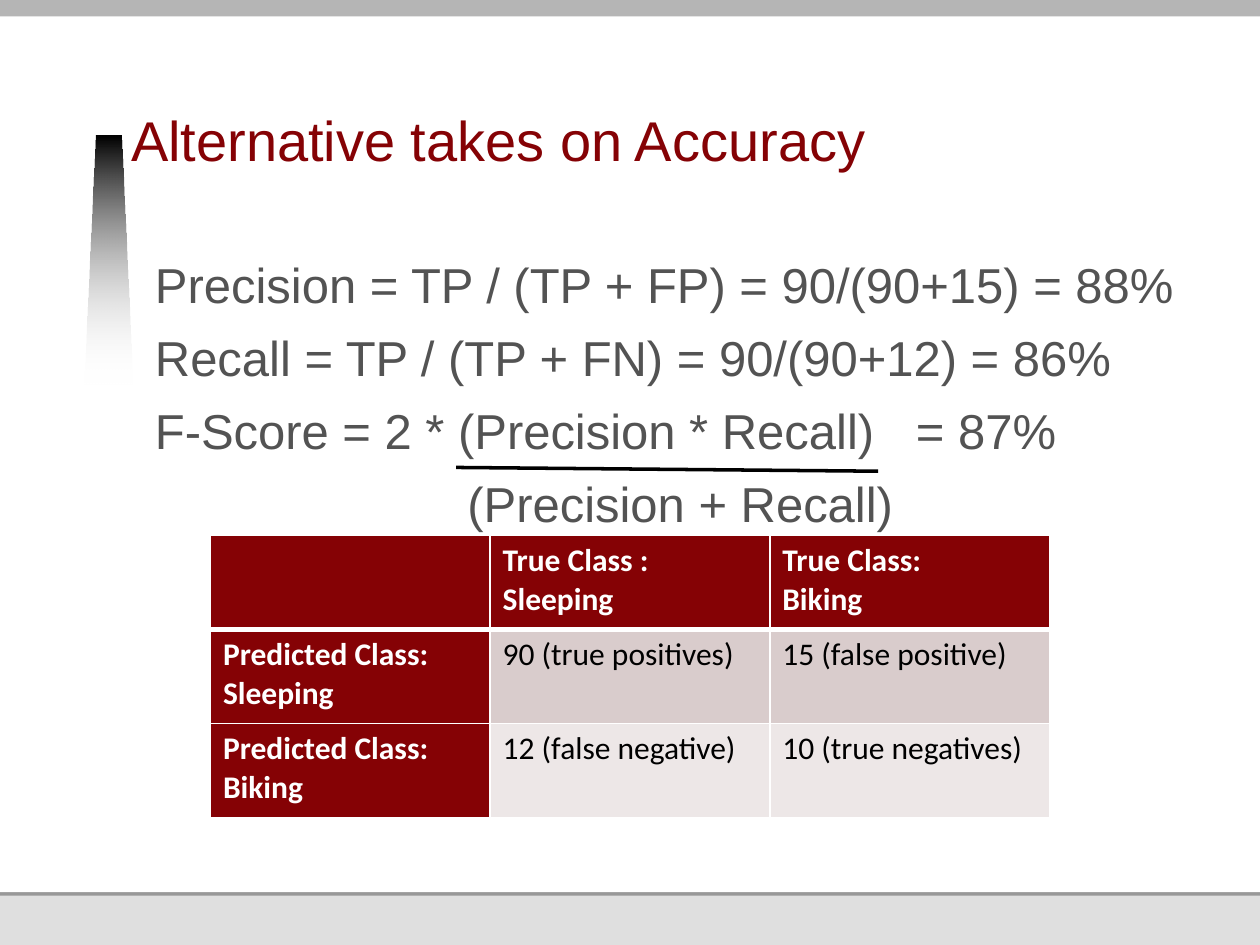
import pptx
import pptx.dml.color
import pptx.enum.shapes
import pptx.enum.text
import pptx.oxml
import pptx.oxml.ns
import pptx.util
from pptx.util import Inches

RGBColor = pptx.dml.color.RGBColor
MAROON = RGBColor(0x85, 0x02, 0x05)
BODY_GRAY = RGBColor(0x53, 0x53, 0x53)
TOP_GRAY = RGBColor(0xB5, 0xB5, 0xB5)
RULE_GRAY = RGBColor(0x98, 0x98, 0x98)
FOOTER_GRAY = RGBColor(0xDF, 0xDF, 0xDF)
BAND_DARK = RGBColor(0xD9, 0xCC, 0xCC)
BAND_LIGHT = RGBColor(0xED, 0xE7, 0xE7)
BLACK = RGBColor(0, 0, 0)
WHITE = RGBColor(0xFF, 0xFF, 0xFF)

FORMULAS = [
    "Precision = TP / (TP + FP) = 90/(90+15) = 88%",
    "Recall = TP / (TP + FN) = 90/(90+12) = 86%",
    "F-Score = 2 * (Precision * Recall)\t= 87%",
    "(Precision + Recall)",
]
CONFUSION_MATRIX = [
    ["", "True Class : Sleeping", "True Class: \vBiking"],
    ["Predicted Class: Sleeping", "90 (true positives)", "15 (false positive)"],
    ["Predicted Class: Biking", "12 (false negative)", "10 (true negatives)"],
]


def add_child(parent, tag, **attributes):
    child = parent.makeelement(pptx.oxml.ns.qn(tag), attributes)
    parent.append(child)


def style_font(font, name, size, color, bold=False):
    font.name = name
    font.size = pptx.util.Pt(size)
    font.color.rgb = color
    font.bold = bold


def set_insets(frame):
    frame.word_wrap = True
    frame.auto_size = pptx.enum.text.MSO_AUTO_SIZE.NONE
    frame.margin_left = frame.margin_right = frame.margin_top = 0
    frame.margin_bottom = Inches(0.05)


def add_panel(page, top, height, color):
    """Add a plain panel across the full slide width."""
    panel = page.shapes.add_shape(
        pptx.enum.shapes.MSO_SHAPE.RECTANGLE, 0, Inches(top), Inches(10), Inches(height))
    panel.shadow.inherit = False
    panel.fill.solid()
    panel.fill.fore_color.rgb = color
    panel.line.fill.background()


def add_backdrop(page):
    """Stack the panels so that each leaves the edge of the one below in view."""
    add_panel(page, 0, 7.5, FOOTER_GRAY)
    add_panel(page, 1.78, 5.33, RULE_GRAY)
    add_panel(page, 0, 7.08, WHITE)
    add_panel(page, 0, 0.13, TOP_GRAY)


def add_spotlight(page, left, top, width, height):
    """Add the tapering bar that fades from black to clear."""
    taper = 0.09
    builder = page.shapes.build_freeform(
        Inches(left), Inches(top + height), scale=1.0)
    corners = [(left + taper, top), (left + width - taper, top),
               (left + width, top + height)]
    builder.add_line_segments([(Inches(x), Inches(y)) for x, y in corners], close=True)
    spotlight = builder.convert_to_shape()
    spotlight.shadow.inherit = False
    spotlight.line.fill.background()
    spotlight.fill.gradient()
    spotlight.fill.gradient_angle = 270
    for stop, color in zip(spotlight.fill.gradient_stops, (BLACK, WHITE)):
        stop.color.rgb = color
    clear_color = spotlight._element.spPr.findall(".//" + pptx.oxml.ns.qn("a:srgbClr"))[-1]
    add_child(clear_color, "a:alpha", val="0")


def set_title(page, left, top, width, height):
    title = page.shapes.title
    title.left, title.top = Inches(left), Inches(top)
    title.width, title.height = Inches(width), Inches(height)
    frame = title.text_frame
    frame.text = "Alternative takes on Accuracy"
    set_insets(frame)
    frame.vertical_anchor = pptx.enum.text.MSO_ANCHOR.BOTTOM
    para = frame.paragraphs[0]
    para.alignment = pptx.enum.text.PP_ALIGN.LEFT
    para.line_spacing = pptx.util.Pt(34)
    style_font(para.runs[0].font, "Arial", 32, MAROON)


def add_formulas(page, left, top, width, height):
    box = page.shapes.add_textbox(Inches(left), Inches(top), Inches(width), Inches(height))
    frame = box.text_frame
    set_insets(frame)
    for index, formula in enumerate(FORMULAS):
        para = frame.paragraphs[0] if index == 0 else frame.add_paragraph()
        para.text = formula
        para.space_after = pptx.util.Pt(8)
        properties = para._p.get_or_add_pPr()
        if "\t" in formula:
            add_child(properties, "a:tabLst")
            add_child(properties[-1], "a:tab", pos=str(Inches(6.04)), algn="l")
        for span in para.runs:
            style_font(span.font, "Arial", 28, BODY_GRAY)
    # The last line is the denominator, set under the fraction bar.
    properties.set("marL", str(Inches(2.48)))
    properties.set("indent", "0")


def add_fraction_bar(page, left, top, width, drop):
    bar = page.shapes.add_connector(
        pptx.enum.shapes.MSO_CONNECTOR.STRAIGHT,
        Inches(left), Inches(top), Inches(left + width), Inches(top + drop))
    bar.line.color.rgb = BLACK
    bar.line.width = pptx.util.Pt(2)
    add_child(bar._element.spPr, "a:effectLst")


def set_borders(cell, bottom_width):
    properties = cell._tc.get_or_add_tcPr()
    widths = {"lnL": 1, "lnR": 1, "lnT": 1, "lnB": bottom_width}
    for position, (tag, width) in enumerate(widths.items()):
        properties.insert(position, pptx.oxml.parse_xml(
            f'<a:{tag} {pptx.oxml.ns.nsdecls("a")} w="{pptx.util.Pt(width)}">'
            f'<a:solidFill><a:srgbClr val="{WHITE}"/></a:solidFill></a:{tag}>'))


def add_confusion_matrix(page, left, top, width, height):
    table = page.shapes.add_table(
        3, 3, Inches(left), Inches(top), Inches(width), Inches(height)).table
    table.horz_banding = False
    for column in table.columns:
        column.width = Inches(width / 3)
    for row in table.rows:
        row.height = Inches(height / 3)
    for r, texts in enumerate(CONFUSION_MATRIX):
        for c, text in enumerate(texts):
            heading = r == 0 or c == 0
            cell = table.cell(r, c)
            cell.text = text
            cell.fill.solid()
            cell.fill.fore_color.rgb = MAROON if heading else (BAND_DARK, BAND_LIGHT)[r - 1]
            set_borders(cell, 3 if r == 0 else 1)
            for span in cell.text_frame.paragraphs[0].runs:
                style_font(span.font, "Calibri", 18, WHITE if heading else BLACK, heading)


def main():
    deck = pptx.Presentation()
    deck.slide_width, deck.slide_height = Inches(10), Inches(7.5)
    page = deck.slides.add_slide(deck.slide_layouts[5])
    page.background.fill.solid()
    page.background.fill.fore_color.rgb = WHITE
    add_backdrop(page)
    add_spotlight(page, 0.67, 1.08, 0.38, 1.97)
    set_title(page, 1.04, 0.34, 6.87, 1.08)
    # The title placeholder is created first, so lift it above the backdrop.
    page.shapes._spTree.append(page.shapes.title._element)
    add_formulas(page, 1.23, 2.02, 8.77, 4.79)
    add_confusion_matrix(page, 1.67, 4.25, 6.66, 2.24)
    add_fraction_bar(page, 3.62, 3.71, 3.35, 0.03)
    deck.save("out.pptx")


if __name__ == "__main__":
    main()
